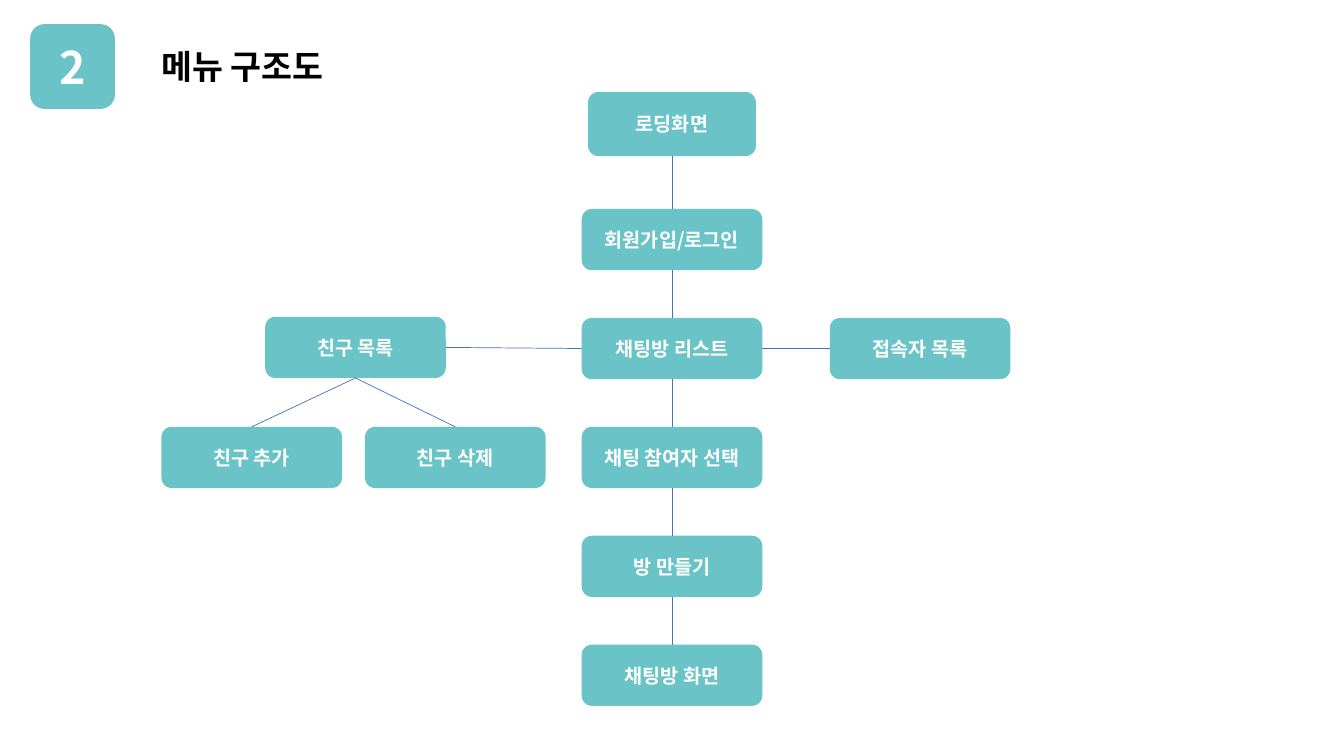
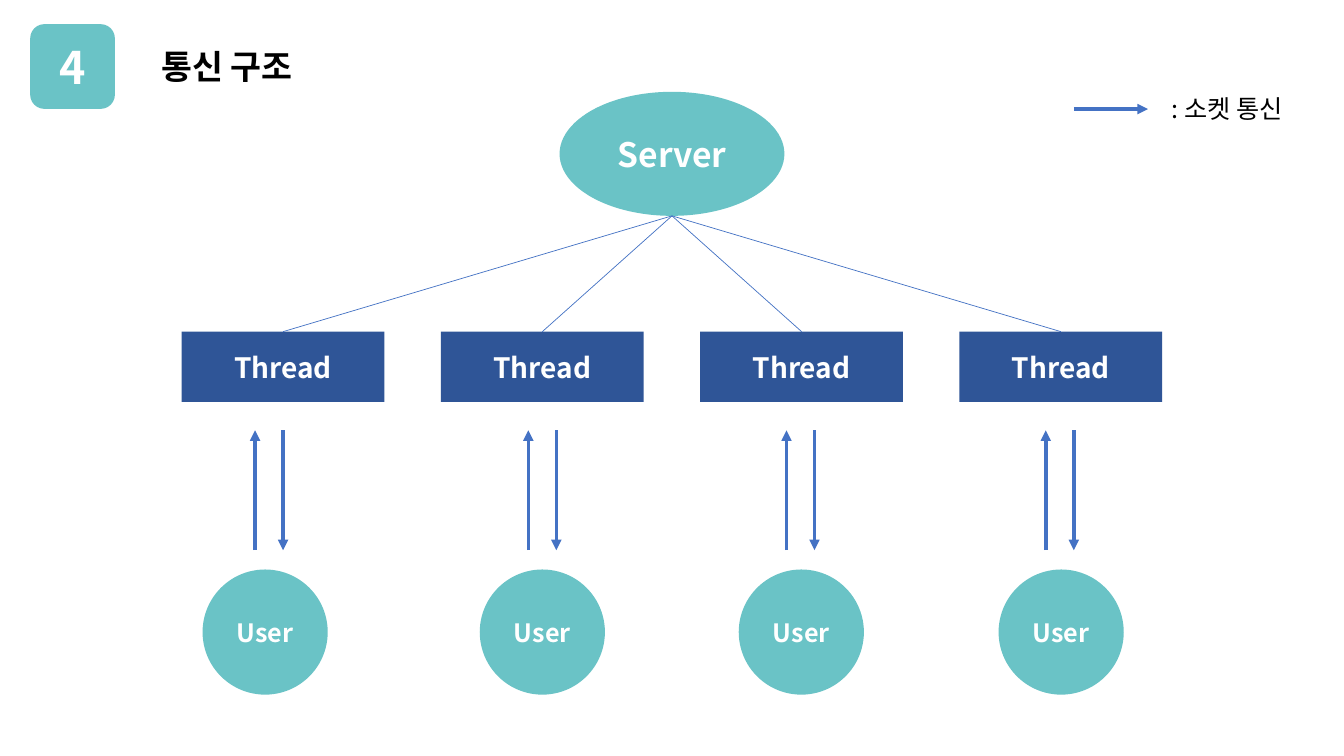
"""Build two diagram slides: a menu structure and a communication structure."""
from lxml import etree
from pptx import Presentation
from pptx.dml.color import RGBColor
from pptx.enum import shapes, text
from pptx.oxml import ns
from pptx.util import Pt

TEAL = RGBColor(0x6A, 0xC3, 0xC6)
NAVY = RGBColor(0x2F, 0x55, 0x97)
BLUE = RGBColor(0x44, 0x72, 0xC4)
WHITE = RGBColor(0xFF, 0xFF, 0xFF)
BLACK = RGBColor(0, 0, 0)
FONT = "Noto Sans CJK KR"
ROUND = shapes.MSO_SHAPE.ROUNDED_RECTANGLE
RECT = shapes.MSO_SHAPE.RECTANGLE
OVAL = shapes.MSO_SHAPE.OVAL
TOP, LEFT, BOTTOM, RIGHT = range(4)


def box(s, kind, cx, y, w, h, label, size, fill=TEAL):
    sp = s.shapes.add_shape(kind, Pt(cx - w / 2), Pt(y), Pt(w), Pt(h))
    sp.shadow.inherit = False
    sp.fill.solid()
    sp.fill.fore_color.rgb = fill
    sp.line.fill.background()
    tf = sp.text_frame
    tf.text = label
    tf.vertical_anchor = text.MSO_ANCHOR.MIDDLE
    p = tf.paragraphs[0]
    p.alignment = text.PP_ALIGN.CENTER
    p.font.size = Pt(size)
    p.font.bold = True
    p.font.color.rgb = WHITE
    return sp


def line(s, x1=0, y1=0, x2=0, y2=0, arrow=False):
    c = s.shapes.add_connector(shapes.MSO_CONNECTOR.STRAIGHT, Pt(x1), Pt(y1), Pt(x2), Pt(y2))
    c.line.color.rgb = BLUE
    c.line.width = Pt(2.5 if arrow else 0.5)
    if arrow:
        etree.SubElement(c.line._get_or_add_ln(), ns.qn("a:tailEnd"), type="triangle")
    etree.SubElement(c._element.spPr, ns.qn("a:effectLst"))
    return c


prs = Presentation()
prs.slide_width, prs.slide_height = Pt(960), Pt(540)
MIDDLE = 480

for number, title, width in (("2", "메뉴 구조도", 144), ("4", "통신 구조", 120)):
    s = prs.slides.add_slide(prs.slide_layouts[5])
    box(s, ROUND, 51.85, 17.3, 60.5, 60.5, number, 32)
    sp = s.shapes.title
    sp.left, sp.top, sp.width, sp.height = Pt(108), Pt(29.5), Pt(width), Pt(36)
    tf = sp.text_frame
    tf.text = title
    tf.word_wrap = False
    tf.auto_size = text.MSO_AUTO_SIZE.NONE
    tf.vertical_anchor = text.MSO_ANCHOR.TOP
    p = tf.paragraphs[0]
    p.alignment = text.PP_ALIGN.LEFT
    p.font.size = Pt(24)
    p.font.bold = True
    p.font.color.rgb = BLACK

menu, network = prs.slides

rows = [149.3 + 77.8 * i for i in range(5)]
loading = box(menu, ROUND, MIDDLE, 65.6, 120, 46, "로딩화면", 14)
login, rooms, members, create, chat, friends, online, add, delete = [
    box(menu, ROUND, cx, y, 129, 43.7, label, 14)
    for cx, y, label in (
        (MIDDLE, rows[0], "회원가입/로그인"),
        (MIDDLE, rows[1], "채팅방 리스트"),
        (MIDDLE, rows[2], "채팅 참여자 선택"),
        (MIDDLE, rows[3], "방 만들기"),
        (MIDDLE, rows[4], "채팅방 화면"),
        (253.9, 226.3, "친구 목록"),
        (657.2, rows[1], "접속자 목록"),
        (179.8, rows[2], "친구 추가"),
        (325.2, rows[2], "친구 삭제"),
    )
]
flow = [loading, login, rooms, members, create, chat]
links = [(a, BOTTOM, b, TOP) for a, b in zip(flow, flow[1:])]
links += [(friends, BOTTOM, b, TOP) for b in (add, delete)]
links += [(rooms, LEFT, friends, RIGHT), (rooms, RIGHT, online, LEFT)]
for start, start_side, end, end_side in links:
    c = line(menu)
    c.begin_connect(start, start_side)
    c.end_connect(end, end_side)

box(network, OVAL, MIDDLE, 65.6, 160.6, 88.6, "Server", 24)
for i, (user_x, up_x) in enumerate(((189.4, 182.2), (387.4, 377.4), (572.4, 561.8), (758, 747))):
    thread_x = MIDDLE + 185.2 * (i - 1.5)
    thread = box(network, RECT, thread_x, 236.9, 144.8, 50.2, "Thread", 20, NAVY)
    line(network, MIDDLE, 154.2, thread_x, 236.9).end_connect(thread, TOP)
    box(network, OVAL, user_x, 406.8, 89.4, 89.4, "User", 18)
    line(network, up_x, 393, up_x, 307.4, arrow=True)
    line(network, up_x + 20, 307.4, up_x + 20, 393, arrow=True)

line(network, 767, 77.9, 820, 77.9, arrow=True)
legend = network.shapes.add_textbox(Pt(830), Pt(63.4), Pt(104.4), Pt(29))
legend.text_frame.text = ": 소켓 통신"
legend.text_frame.word_wrap = False
p = legend.text_frame.paragraphs[0]
p.font.size = Pt(18)
p.font.color.rgb = BLACK

for s in prs.slides:
    for sp in s.shapes:
        if sp.has_text_frame:
            p = sp.text_frame.paragraphs[0]
            p.font.name = FONT
            etree.SubElement(p._p.pPr.find(ns.qn("a:defRPr")), ns.qn("a:ea"), typeface=FONT)

prs.save("out.pptx")
